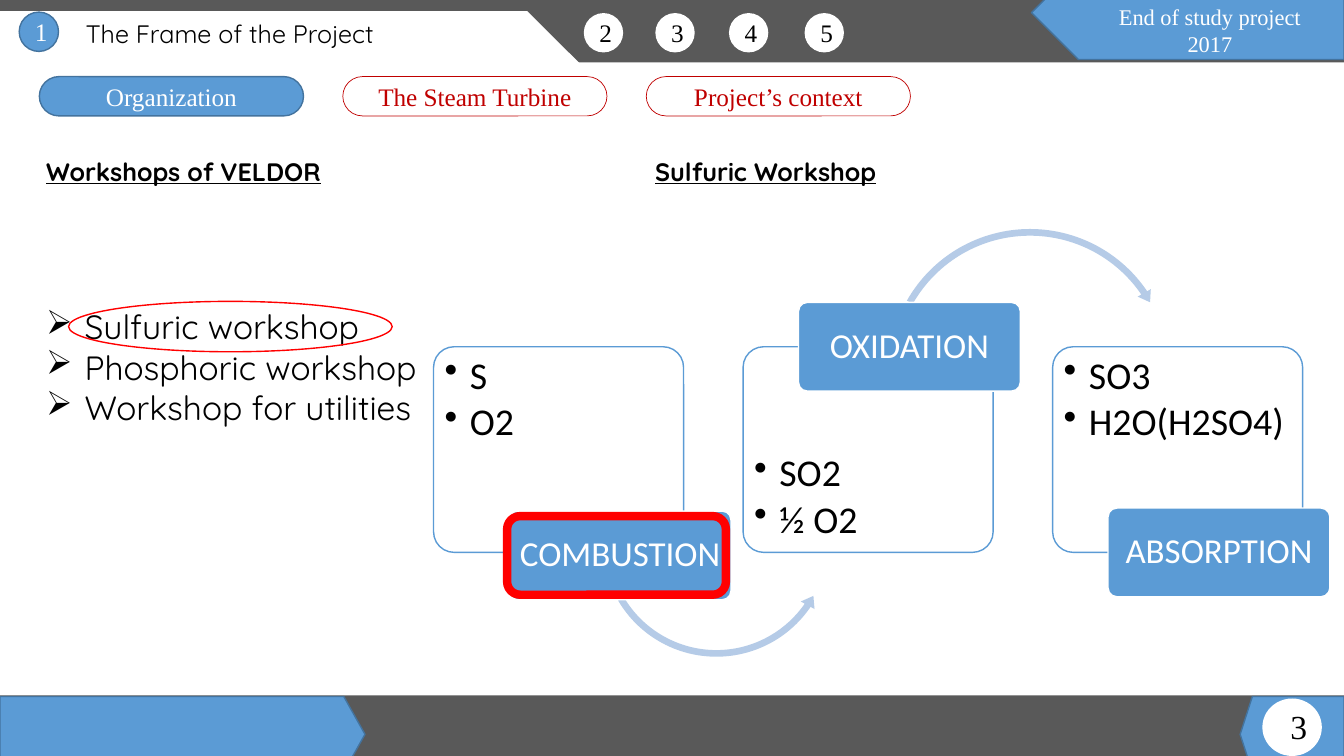
from dataclasses import dataclass
from typing import Optional

import lxml.etree
import pptx
import pptx.dml.color
import pptx.enum.shapes
import pptx.enum.text
import pptx.oxml.ns
import pptx.util

Inches = pptx.util.Inches
Pt = pptx.util.Pt
Geometry = pptx.enum.shapes.MSO_SHAPE
Align = pptx.enum.text.PP_ALIGN
Anchor = pptx.enum.text.MSO_ANCHOR
Box = tuple[float, float, float, float]

BLUE, DARK_BLUE, PALE_BLUE = "5B9BD5", "43739E", "B5CBE7"
GREY, WHITE, BLACK = "595959", "FFFFFF", "000000"
CRIMSON, RED = "C00000", "FF0000"
SERIF, ROUNDED, SANS = "Times New Roman", "Quicksand", "Calibri"


@dataclass
class Arrow:
    geometry: Geometry
    box: Box
    adjustments: tuple[float, ...]


@dataclass
class Step:
    name: str
    substances: list[str]
    label_left: float
    label_top: float
    text_top: float = 3.48
    text_anchor: Anchor = Anchor.TOP
    arrow: Optional[Arrow] = None


@dataclass
class Tab:
    name: str
    fill: str
    line: str
    line_width: float
    color: str


STEPS = [
    Step("COMBUSTION", ["S", "O2"], 5.05, 5.07,
         arrow=Arrow(Geometry.LEFT_CIRCULAR_ARROW, (5.93, 4.21, 2.35, 2.35),
                     (0.028, 3.407, 20.635, 89.717, 0.033))),
    Step("OXIDATION", ["SO2", "½ O2"], 7.92, 3, 3.92, Anchor.BOTTOM,
         Arrow(Geometry.CIRCULAR_ARROW, (8.77, 2.23, 2.89, 2.89),
               (0.023, 2.738, 195.507, 125.755, 0.026))),
    Step("ABSORPTION", ["SO3", "H2O(H2SO4)"], 10.99, 5.04),
]
TABS = [
    Tab("Organization", BLUE, DARK_BLUE, 1, WHITE),
    Tab("The Steam Turbine", WHITE, CRIMSON, 0.5, CRIMSON),
    Tab("Project’s context", WHITE, CRIMSON, 0.5, CRIMSON),
]
CHAPTER_LEFTS = {"2": 5.79, "3": 6.5, "4": 7.23, "5": 7.98}


def rgb(color: str) -> pptx.dml.color.RGBColor:
    return pptx.dml.color.RGBColor.from_string(color)


def write(shape, lines: list[str], *, size: float, font: str, color: str = BLACK,
          align: Align = Align.LEFT, anchor: Anchor = Anchor.TOP,
          bold: bool = False, underline: bool = False, wrap: bool = True,
          margins: tuple[float, float] = (0.1, 0.05), bullet: str = "",
          indent: float = 0, line_spacing: float = 1, space_after: float = 0) -> None:
    frame = shape.text_frame
    frame.word_wrap = wrap
    frame.vertical_anchor = anchor
    frame.margin_left = frame.margin_right = Inches(margins[0])
    frame.margin_top = frame.margin_bottom = Inches(margins[1])
    for index, line in enumerate(lines):
        paragraph = frame.add_paragraph() if index else frame.paragraphs[0]
        paragraph.alignment = align
        paragraph.line_spacing = line_spacing
        paragraph.space_after = Pt(space_after)
        if bullet:
            properties = paragraph._p.get_or_add_pPr()
            properties.set("marL", str(Inches(indent)))
            properties.set("indent", str(-Inches(indent)))
            character = lxml.etree.SubElement(properties, pptx.oxml.ns.qn("a:buChar"))
            character.set("char", bullet)
        run = paragraph.add_run()
        run.text = line
        run.font.size = Pt(size)
        run.font.name = font
        run.font.bold = bold
        run.font.underline = underline
        run.font.color.rgb = rgb(color)


def add_text(slide, box: Box, lines: list[str], **style) -> None:
    write(slide.shapes.add_textbox(*map(Inches, box)), lines, **style)


def add_shape(slide, geometry: Geometry, box: Box, *, fill: str = "", line: str = "",
              line_width: float = 1, rotation: float = 0,
              adjustments: tuple[float, ...] = ()):
    shape = slide.shapes.add_shape(geometry, *map(Inches, box))
    shape.shadow.inherit = False
    shape.rotation = rotation
    for index, value in enumerate(adjustments):
        shape.adjustments[index] = value
    if fill:
        shape.fill.solid()
        shape.fill.fore_color.rgb = rgb(fill)
    else:
        shape.fill.background()
    if line:
        shape.line.color.rgb = rgb(line)
        shape.line.width = Pt(line_width)
    else:
        shape.line.fill.background()
    return shape


def add_number(slide, number: str, left: float, top: float, fill: str,
               line: str, color: str) -> None:
    circle = add_shape(slide, Geometry.OVAL, (left, top, 0.39, 0.39), fill=fill, line=line)
    write(circle, [number], size=18, font=SERIF, color=color,
          align=Align.CENTER, anchor=Anchor.MIDDLE)


def add_frame(slide) -> None:
    add_shape(slide, Geometry.RECTANGLE, (0, 6.9, 13.33, 0.6), fill=GREY)
    add_shape(slide, Geometry.PENTAGON, (12.3, 6.91, 1.03, 0.75), fill=BLUE,
              line=DARK_BLUE, rotation=180, adjustments=(0.161,))
    add_shape(slide, Geometry.PENTAGON, (0, 6.91, 3.62, 0.75), fill=BLUE,
              line=DARK_BLUE, adjustments=(0.28,))
    add_shape(slide, Geometry.RECTANGLE, (0, 0, 13.33, 0.62), fill=GREY)
    add_shape(slide, Geometry.PENTAGON, (-0.02, 0.11, 5.8, 1.1), fill=WHITE)
    add_text(slide, (0.75, 0.13, 5.63, 0.71), ["The Frame of the Project"],
             size=18, font=ROUNDED)
    for number, left in CHAPTER_LEFTS.items():
        add_number(slide, number, left, 0.13, WHITE, "", BLACK)
    for index, tab in enumerate(TABS):
        pill = add_shape(slide, Geometry.ROUNDED_RECTANGLE,
                         (0.39 + 3.01 * index, 0.76, 2.62, 0.39), fill=tab.fill,
                         line=tab.line, line_width=tab.line_width, adjustments=(0.5,))
        write(pill, [tab.name], size=18, font=SERIF, color=tab.color,
              align=Align.CENTER, anchor=Anchor.MIDDLE)
    add_shape(slide, Geometry.PENTAGON, (10.23, -0.34, 3.1, 0.93), fill=BLUE,
              line=DARK_BLUE, rotation=180)
    add_text(slide, (10.23, -0.02, 3.54, 0.64), ["End of study project", "2017"],
             size=16, font=SERIF, color=WHITE, align=Align.CENTER)
    add_shape(slide, Geometry.OVAL, (12.52, 6.93, 0.59, 0.57), fill=WHITE)
    add_number(slide, "1", 0.19, 0.12, BLUE, DARK_BLUE, WHITE)
    add_text(slide, (12.7, 6.95, 0.36, 0.5), ["3"], size=24, font=SERIF,
             align=Align.CENTER, wrap=False)


def add_workshops(slide) -> None:
    for heading, left, width in (("Workshops of VELDOR", 0.36, 5.63),
                                 ("Sulfuric Workshop", 6.4, 4.97)):
        add_text(slide, (left, 1.5, width, 0.4), [heading], size=18, font=ROUNDED,
                 bold=True, underline=True)
    add_text(slide, (0.36, 2.99, 4.38, 2.52),
             ["Sulfuric workshop", "Phosphoric workshop", "Workshop for utilities"],
             size=24, font=ROUNDED, align=Align.JUSTIFY, bullet="➢", indent=0.38)


def add_step(slide, step: Step, left: float) -> None:
    add_shape(slide, Geometry.ROUNDED_RECTANGLE, (left, 3.44, 2.48, 2.04),
              fill=WHITE, line=BLUE, adjustments=(0.1,))
    add_text(slide, (left + 0.05, step.text_top, 2.38, 1.51), step.substances,
             size=27, font=SANS, anchor=step.text_anchor, margins=(0.06, 0.06),
             bullet="•", indent=0.25, line_spacing=0.9, space_after=4)
    if step.arrow:
        add_shape(slide, step.arrow.geometry, step.arrow.box, fill=PALE_BLUE,
                  adjustments=step.arrow.adjustments)
    label = add_shape(slide, Geometry.ROUNDED_RECTANGLE,
                      (step.label_left, step.label_top, 2.2, 0.88),
                      fill=BLUE, line=WHITE, adjustments=(0.1,))
    write(label, [step.name], size=25, font=SANS, color=WHITE, align=Align.CENTER,
          anchor=Anchor.MIDDLE, margins=(0.05, 0.03), line_spacing=0.9)


def main() -> None:
    presentation = pptx.Presentation()
    presentation.slide_width = Inches(13.33)
    presentation.slide_height = Inches(7.5)
    slide = presentation.slides.add_slide(presentation.slide_layouts[6])
    add_frame(slide)
    add_workshops(slide)
    for index, step in enumerate(STEPS):
        add_step(slide, step, 4.3 + 3.07 * index)
    add_shape(slide, Geometry.OVAL, (0.68, 2.99, 3.21, 0.5), line=RED)
    add_shape(slide, Geometry.ROUNDED_RECTANGLE, (5.03, 5.12, 2.17, 0.78),
              line=RED, line_width=6)
    presentation.save("out.pptx")


if __name__ == "__main__":
    main()
